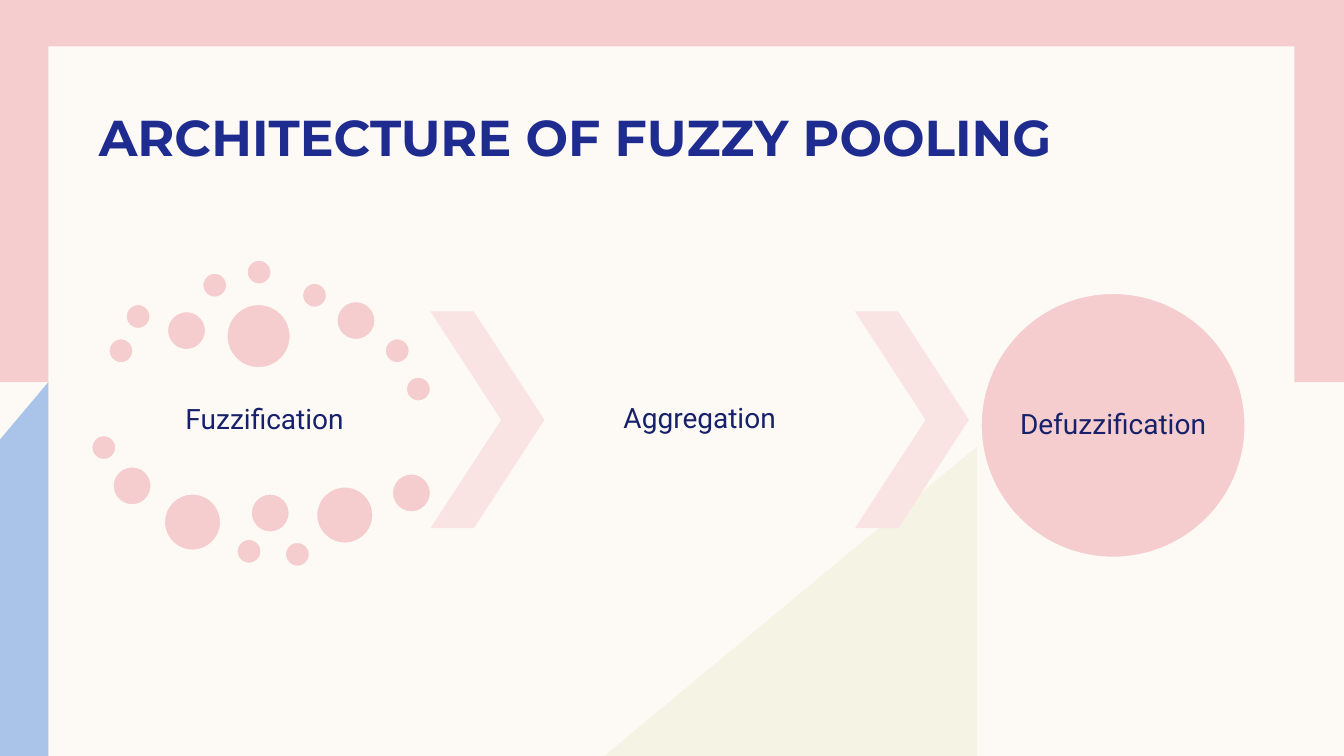
from lxml import etree
from pptx import Presentation
from pptx.dml.color import RGBColor
from pptx.enum.shapes import MSO_SHAPE
from pptx.enum.text import MSO_ANCHOR, MSO_AUTO_SIZE, PP_ALIGN
from pptx.oxml.ns import qn
from pptx.util import Inches, Pt

RECTANGLE = MSO_SHAPE.RECTANGLE
OVAL = MSO_SHAPE.OVAL
CHEVRON = MSO_SHAPE.CHEVRON
LEFT, CENTER = PP_ALIGN.LEFT, PP_ALIGN.CENTER
MIDDLE, BOTTOM = MSO_ANCHOR.MIDDLE, MSO_ANCHOR.BOTTOM

COLORS = {
    "cream": "FDFAF6",
    "pink": "F5CDCE",
    "pale_pink": "F9E3E3",
    "olive": "EDEED3",
    "blue": "AAC3E8",
    "title": "1F2C8F",
    "label": "17216B",
}

SMALL, MEDIUM, LARGE, LARGEST = 0.24, 0.38, 0.56, 0.63
BUBBLES = {  # diameter: left and top of each bubble
    SMALL: [(1.08, 3.36), (1.25, 3.02), (2.01, 2.71), (2.45, 2.58), (3, 2.81),
            (3.82, 3.36), (4.03, 3.74), (0.91, 4.32), (2.35, 5.35), (2.83, 5.38)],
    MEDIUM: [(1.66, 3.09), (3.34, 2.99), (1.12, 4.63), (2.49, 4.9), (3.89, 4.7)],
    LARGE: [(1.63, 4.9), (3.14, 4.83)],
    LARGEST: [(2.25, 3.02)],
}

CHEVRON_TOP, CHEVRON_WIDTH, CHEVRON_HEIGHT = 3.09, 1.13, 2.15
CHEVRON_LEFTS = (4.27, 8.48)


def color(name):
    return RGBColor.from_string(COLORS[name])


def paint(shape, fill, line=None, alpha=None):
    """Give a shape a flat fill, with alpha as a percentage."""
    shape.shadow.inherit = False
    shape.fill.solid()
    shape.fill.fore_color.rgb = color(fill)
    if alpha is not None:
        fill_color = shape.element.spPr.find(qn("a:solidFill"))[0]
        etree.SubElement(fill_color, qn("a:alpha")).set("val", str(alpha * 1000))
    if line:
        shape.line.color.rgb = color(line)
        shape.line.width = Pt(1)
    else:
        shape.line.fill.background()


def add_preset(slide, kind, left, top, width, height, fill, line=None):
    shape = slide.shapes.add_shape(
        kind, Inches(left), Inches(top), Inches(width), Inches(height))
    paint(shape, fill, line)
    return shape


def add_circle(slide, left, top, diameter):
    return add_preset(slide, OVAL, left, top, diameter, diameter, "pink", "cream")


def add_polygon(slide, points, fill, alpha=None):
    corners = [(Inches(x), Inches(y)) for x, y in points]
    builder = slide.shapes.build_freeform(*corners[0])
    builder.add_line_segments(corners[1:], close=True)
    paint(builder.convert_to_shape(), fill, alpha=alpha)


def write_text(shape, text, font="Roboto", size=20, fill="label", bold=False,
               align=CENTER, anchor=MIDDLE, side=0.03, edge=0.03, spacing=0.9):
    """Write one paragraph, with side and edge as the margins in inches."""
    frame = shape.text_frame
    frame.word_wrap = True
    frame.auto_size = MSO_AUTO_SIZE.NONE
    frame.vertical_anchor = anchor
    frame.margin_left = frame.margin_right = Inches(side)
    frame.margin_top = frame.margin_bottom = Inches(edge)
    paragraph = frame.paragraphs[0]
    paragraph.alignment = align
    paragraph.line_spacing = spacing
    run = paragraph.add_run()
    run.text = text
    run.font.name = font
    run.font.size = Pt(size)
    run.font.bold = bold
    run.font.color.rgb = color(fill)


def add_label(slide, text, left, top, width, height):
    box = slide.shapes.add_textbox(
        Inches(left), Inches(top), Inches(width), Inches(height))
    write_text(box, text)


def add_backdrop(slide):
    slide.background.fill.solid()
    slide.background.fill.fore_color.rgb = color("cream")
    add_preset(slide, RECTANGLE, -0.03, 0, 13.36, 3.79, "pink")
    add_preset(slide, RECTANGLE, 0.48, 0.46, 12.36, 6.59, "cream")
    add_polygon(slide, [(5.98, 7.51), (9.69, 4.43), (9.69, 7.51)], "olive", alpha=50)
    add_polygon(slide, [(0.48, 3.79), (0.48, 7.5), (0, 7.5), (0, 4.36)], "blue")


def format_title(slide, text):
    """Fill the title and bring it in front of the backdrop."""
    title = slide.shapes.title
    title.left, title.top = Inches(0.88), Inches(-1.08)
    title.width, title.height = Inches(11.05), Inches(2.73)
    write_text(title, text, font="Montserrat", size=36, fill="title", bold=True,
               align=LEFT, anchor=BOTTOM, side=0.1, edge=0, spacing=1)
    title.element.getparent().append(title.element)


def add_process(slide):
    add_label(slide, "Fuzzification", 1.09, 3.67, 3.07, 1.01)
    for diameter, corners in BUBBLES.items():
        for left, top in corners:
            add_circle(slide, left, top, diameter)

    for left in CHEVRON_LEFTS:
        chevron = add_preset(slide, CHEVRON, left, CHEVRON_TOP,
                             CHEVRON_WIDTH, CHEVRON_HEIGHT, "pale_pink")
        chevron.adjustments[0] = 0.62

    first, second = CHEVRON_LEFTS
    label_left = first + CHEVRON_WIDTH
    add_label(slide, "Aggregation", label_left, CHEVRON_TOP,
              second - label_left, CHEVRON_HEIGHT)

    result = add_circle(slide, 9.73, 2.91, 2.62)
    write_text(result, "Defuzzification", side=0, edge=0)


def main():
    presentation = Presentation()
    presentation.slide_width = Inches(13.33)
    presentation.slide_height = Inches(7.5)
    title_only = presentation.slide_layouts.get_by_name("Title Only")
    slide = presentation.slides.add_slide(title_only)
    add_backdrop(slide)
    format_title(slide, "ARCHITECTURE OF FUZZY POOLING")
    add_process(slide)
    presentation.save("out.pptx")


if __name__ == "__main__":
    main()
